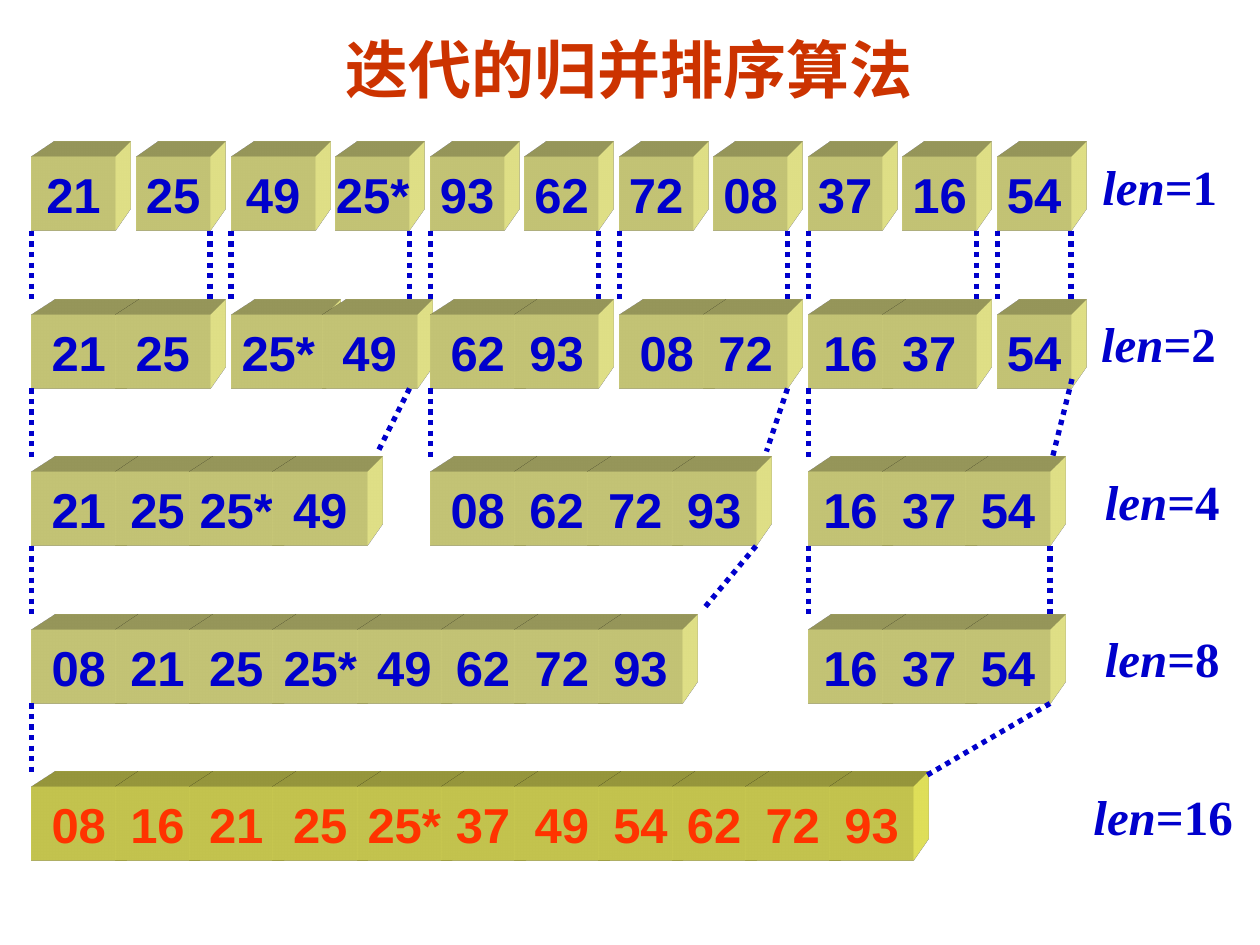
from lxml.etree import SubElement
from pptx import Presentation
from pptx.dml.color import RGBColor
from pptx.enum.dml import MSO_LINE
from pptx.enum.shapes import MSO_CONNECTOR, MSO_SHAPE
from pptx.enum.text import MSO_ANCHOR, MSO_AUTO_SIZE, PP_ALIGN
from pptx.oxml import parse_xml
from pptx.oxml.ns import qn
from pptx.util import Inches, Pt

BLUE = RGBColor(0x00, 0x00, 0xCC)
RUST = RGBColor(0xCC, 0x33, 0x00)
RED = RGBColor(0xFF, 0x33, 0x00)
CREAM = RGBColor(0xFF, 0xFF, 0x99)
GOLD = RGBColor(0xFF, 0xFF, 0x66)

UNIT = Inches(1) / 12  # side of one grid cell
TOP, TALL, STEP = 15, 7, 15  # first row, box height and row pitch, in cells
NS = 'xmlns:a="http://schemas.openxmlformats.org/drawingml/2006/main"'


def cells(*nums):
    """Turn counts of grid cells into lengths."""
    return [round(n * UNIT) for n in nums]


def write(shape, *parts, size=28, font="Arial", color=BLUE, align=PP_ALIGN.LEFT,
          anchor=MSO_ANCHOR.TOP, fit=MSO_AUTO_SIZE.NONE, slant=False):
    """Fill a shape with one line of bold runs; slant tilts the first run."""
    frame = shape.text_frame
    frame.word_wrap = False
    frame.auto_size = fit
    frame.vertical_anchor = anchor
    para = frame.paragraphs[0]
    para.alignment = align
    for n, part in enumerate(parts):
        run = para.add_run()
        run.text = part
        run.font.size = Pt(size)
        run.font.name = font
        run.font.bold = True
        run.font.italic = slant and n == 0
        run.font.color.rgb = color


deck = Presentation()
deck.slide_width, deck.slide_height = Inches(10), Inches(7.5)
slide = deck.slides.add_slide(deck.slide_layouts[5])
shapes = slide.shapes

title = shapes.title
title.left, title.top = Inches(2.64), Inches(0.19)
title.width, title.height = Inches(4.72), Inches(0.7)
write(title, "迭代的归并排序算法", size=36, font="Times New Roman", color=RUST,
      fit=MSO_AUTO_SIZE.SHAPE_TO_FIT_TEXT)

# Each pass: run length, label left, keys, box columns, box widths, drop lines
merged = [9, 8, 9, 9, 9, 8, 9, 8, 8, 9, 8]
passes = [
    ("1", 8.65, "21 25 49 25* 93 62 72 08 37 16 54",
     [3, 13, 22, 32, 41, 50, 59, 68, 77, 86, 95],
     [8, 7, 8, 7, 7, 7, 7, 7, 7, 7, 7],
     [3, 20, 22, 39, 41, 57, 59, 75, 77, 93, 95, 102]),
    ("2", 8.64, "21 25 25* 49 62 93 08 72 16 37 54",
     [3, 11, 22, 30.7, 41, 49, 59, 67, 77, 84, 95],
     [9, 9, 9, 9, 9, 8, 9, 8, 8, 9, 7], [3, 41, 77]),
    ("4", 8.67, "21 25 25* 49 08 62 72 93 16 37 54",
     [3, 11, 18, 26, 41, 49, 56, 64, 77, 84, 92], merged, [3, 77, 100]),
    ("8", 8.67, "08 21 25 25* 49 62 72 93 16 37 54",
     [3, 11, 18, 26, 34, 42, 49, 57, 77, 84, 92], merged, [3]),
    ("16", 8.58, "08 16 21 25 25* 37 49 54 62 72 93",
     [3, 11, 18, 26, 34, 42, 49, 57, 64, 71, 79], merged, []),
]
# Slanted lines where a merged run gets shorter
lines = [(39, 37, 36, 43), (75, 37, 73, 43), (72, 52, 67, 58),
         (100, 67, 88, 74), (102.1, 36.1, 100.2, 43.7)]

for row, (size, left, keys, cols, wides, drops) in enumerate(passes):
    top = TOP + row * STEP
    last = row == len(passes) - 1
    fill, ink = (GOLD, RED) if last else (CREAM, BLUE)
    for key, col, wide in zip(keys.split(), cols, wides):
        box = shapes.add_shape(MSO_SHAPE.RECTANGLE, *cells(col, top, wide, TALL))
        box.shadow.inherit = False
        box.fill.solid()
        box.fill.fore_color.rgb = fill
        box.line.fill.background()
        write(box, key, color=ink, align=PP_ALIGN.CENTER, anchor=MSO_ANCHOR.MIDDLE)
        props = box._element.spPr
        props.append(parse_xml(
            f'<a:scene3d {NS}><a:camera prst="legacyPerspectiveTopRight"/>'
            '<a:lightRig rig="legacyFlat3" dir="b"/></a:scene3d>'))
        props.append(parse_xml(
            f'<a:sp3d {NS} extrusionH="887400" prstMaterial="legacyMatte">'
            '<a:bevelT w="13500" h="13500" prst="angle"/>'
            '<a:bevelB w="13500" h="13500" prst="angle"/>'
            f'<a:extrusionClr><a:srgbClr val="{fill}"/></a:extrusionClr></a:sp3d>'))
    base = top + TALL
    lines += [(col, base, col, base + 7) for col in drops]
    label = shapes.add_textbox(Inches(left), Inches(1.19 + 1.25 * row),
                               Inches(1.31 if last else 1.11), Inches(0.57))
    write(label, "len", f"={size}", font="Times New Roman", slant=True,
          fit=MSO_AUTO_SIZE.SHAPE_TO_FIT_TEXT)

for ends in lines:
    line = shapes.add_connector(MSO_CONNECTOR.STRAIGHT, *cells(*ends))
    line.line.color.rgb = BLUE
    line.line.width = Pt(3)
    line.line.dash_style = MSO_LINE.ROUND_DOT
    SubElement(line._element.spPr, qn("a:effectLst"))

deck.save("out.pptx")
